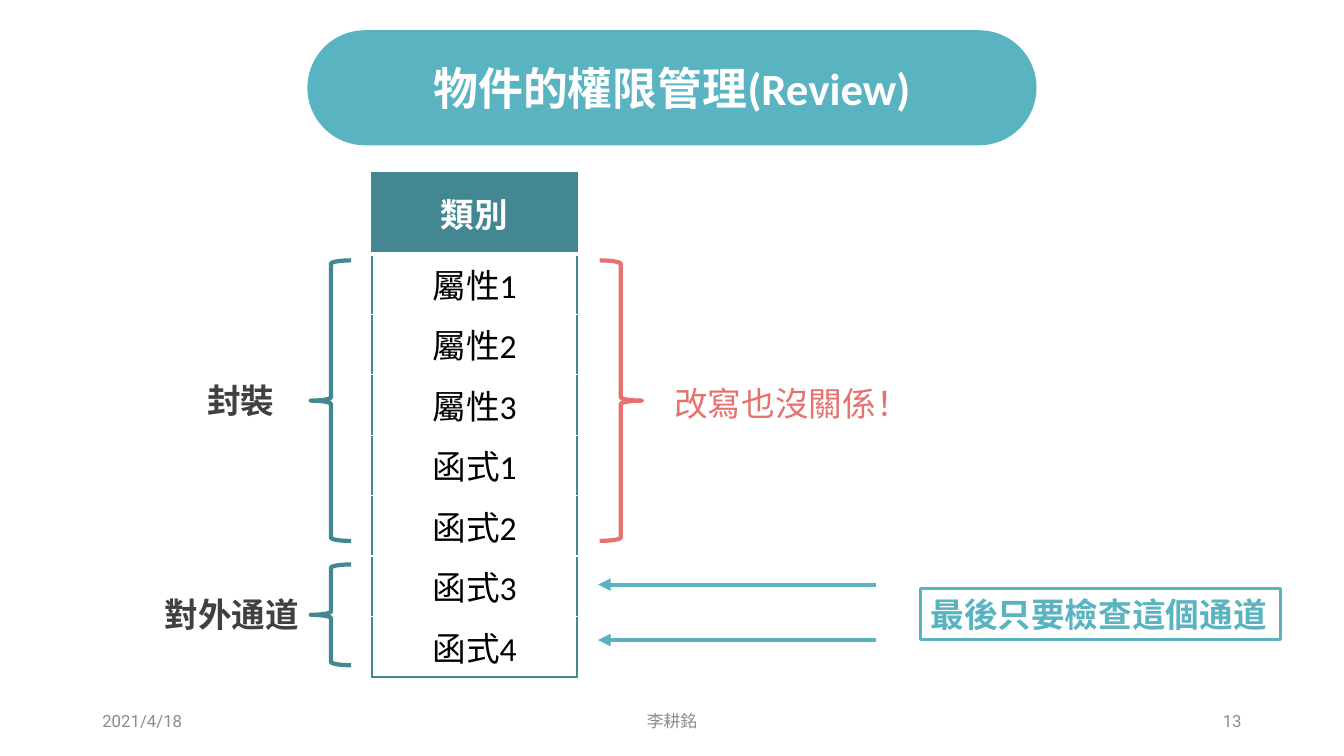
from lxml.etree import SubElement
from pptx import Presentation
from pptx.dml.color import RGBColor
from pptx.enum.shapes import MSO_CONNECTOR, MSO_SHAPE
from pptx.enum.text import MSO_ANCHOR, PP_ALIGN
from pptx.oxml.ns import qn
from pptx.util import Inches, Pt

COLORS = {
    "sky": "59B3C0", "teal": "438792", "coral": "E6716E", "white": "FFFFFF",
    "black": "000000", "dark": "404040", "gray": "8C8C8C",
}
COLUMNS, ROWS = 160, 90


class SlideBuilder:
    """Draw styled elements on one slide, placed in columns and rows of a grid."""

    def __init__(self, presentation):
        self.column = presentation.slide_width / COLUMNS
        self.row = presentation.slide_height / ROWS
        self.east_asian_font = "Noto Sans CJK TC"
        self.slide = presentation.slides.add_slide(presentation.slide_layouts[6])
        self.shapes = self.slide.shapes

    def place(self, left, top, width, height):
        return (round(left * self.column), round(top * self.row),
                round(width * self.column), round(height * self.row))

    def color(self, name):
        return RGBColor.from_string(COLORS[name])

    def add_text(self, frame, text, color, size=24, bold=False, font="Calibri",
                 align=PP_ALIGN.LEFT, wrap=False):
        frame.word_wrap = wrap
        frame.vertical_anchor = MSO_ANCHOR.MIDDLE
        paragraph = frame.paragraphs[0]
        paragraph.alignment = align
        run = paragraph.add_run()
        run.text = text
        run.font.size = Pt(size)
        run.font.bold = bold
        run.font.color.rgb = self.color(color)
        run.font.name = font
        properties = run._r.get_or_add_rPr()
        SubElement(properties, qn("a:ea"), typeface=self.east_asian_font)

    def text_box(self, box, text, color, **style):
        shape = self.shapes.add_textbox(*self.place(*box))
        self.add_text(shape.text_frame, text, color, **style)

    def shape(self, kind, box, fill=None, line=None, weight=3):
        shape = self.shapes.add_shape(kind, *self.place(*box))
        shape.shadow.inherit = False
        if fill:
            shape.fill.solid()
            shape.fill.fore_color.rgb = self.color(fill)
        else:
            shape.fill.background()
        if line:
            shape.line.color.rgb = self.color(line)
            shape.line.width = Pt(weight)
        else:
            shape.line.fill.background()
        return shape

    def arrow(self, start, end, row, color):
        x1, y, x2, _ = self.place(start, row, end, 0)
        connector = self.shapes.add_connector(MSO_CONNECTOR.STRAIGHT, x1, y, x2, y)
        connector.line.color.rgb = self.color(color)
        connector.line.width = Pt(3)
        properties = connector._element.spPr
        SubElement(properties.find(qn("a:ln")), qn("a:tailEnd"), type="triangle")
        SubElement(properties, qn("a:effectLst"))

    def border(self, cell, side, color, weight):
        line = SubElement(cell._tc.get_or_add_tcPr(), qn(f"a:ln{side}"),
                          w=str(Pt(weight)))
        fill = SubElement(line, qn("a:solidFill"))
        SubElement(fill, qn("a:srgbClr"), val=COLORS[color])

    def class_table(self, box, labels, header_height, row_height):
        table = self.shapes.add_table(len(labels), 1, *self.place(*box)).table
        table.first_row = table.horz_banding = False
        last = len(labels) - 1
        edge, header_rule, rule = ("teal", 2.25), ("white", 3), ("white", 1)
        for index, label in enumerate(labels):
            header = index == 0
            height = header_height if header else row_height
            table.rows[index].height = round(height * self.row)
            cell = table.cell(index, 0)
            top = edge if header else header_rule if index == 1 else rule
            bottom = header_rule if header else edge if index == last else rule
            for side, style in zip("LRTB", (edge, edge, top, bottom)):
                self.border(cell, side, *style)
            cell.fill.solid()
            cell.fill.fore_color.rgb = self.color("teal" if header else "white")
            self.add_text(cell.text_frame, label, "white" if header else "black",
                          bold=header, align=PP_ALIGN.CENTER, wrap=True)
            cell.vertical_anchor = MSO_ANCHOR.MIDDLE


def main():
    presentation = Presentation()
    presentation.slide_width = Inches(13.33)
    presentation.slide_height = Inches(7.5)
    builder = SlideBuilder(presentation)

    title = builder.shape(MSO_SHAPE.ROUNDED_RECTANGLE, (36.6, 3.6, 86.8, 13.7), "sky")
    title.adjustments[0] = 0.5
    builder.add_text(title.text_frame, "物件的權限管理(Review)", "white", size=32,
                     bold=True, align=PP_ALIGN.CENTER, wrap=True)

    for left, width, text, align in (
        (11, 36, "2021/4/18", PP_ALIGN.LEFT),
        (53, 54, "李耕銘", PP_ALIGN.CENTER),
        (113, 36, "13", PP_ALIGN.RIGHT),
    ):
        builder.text_box((left, 83.4, width, 4.8), text, "gray", size=12,
                         font="Roboto", align=align, wrap=True)

    labels = ["類別"]
    labels += [f"屬性{number}" for number in range(1, 4)]
    labels += [f"函式{number}" for number in range(1, 5)]
    builder.class_table((44.3, 20.6, 24.4, 60), labels, 9.6, 7.2)

    for kind, box, color in (
        (MSO_SHAPE.LEFT_BRACE, (37, 31, 4.8, 33.4), "teal"),
        (MSO_SHAPE.LEFT_BRACE, (37, 67.2, 4.8, 12), "teal"),
        (MSO_SHAPE.RIGHT_BRACE, (71.4, 31, 5, 33.4), "coral"),
    ):
        builder.shape(kind, box, line=color)

    for box, text, color, bold in (
        ((23.5, 44.6, 10.6, 6), "封裝", "dark", True),
        ((18.4, 70.1, 18.6, 6), "對外通道", "dark", True),
        ((79.1, 45, 30.7, 6), "改寫也沒關係！", "coral", False),
    ):
        builder.text_box(box, text, color, bold=bold,
                         font=builder.east_asian_font if bold else "Calibri")

    for row in (69.6, 76.2):
        builder.arrow(104.3, 71.2, row, "sky")

    check = builder.shape(MSO_SHAPE.RECTANGLE, (109.6, 70.1, 42.8, 6),
                          line="sky", weight=2)
    builder.add_text(check.text_frame, "最後只要檢查這個通道", "sky", bold=True)

    presentation.save("out.pptx")


if __name__ == "__main__":
    main()
